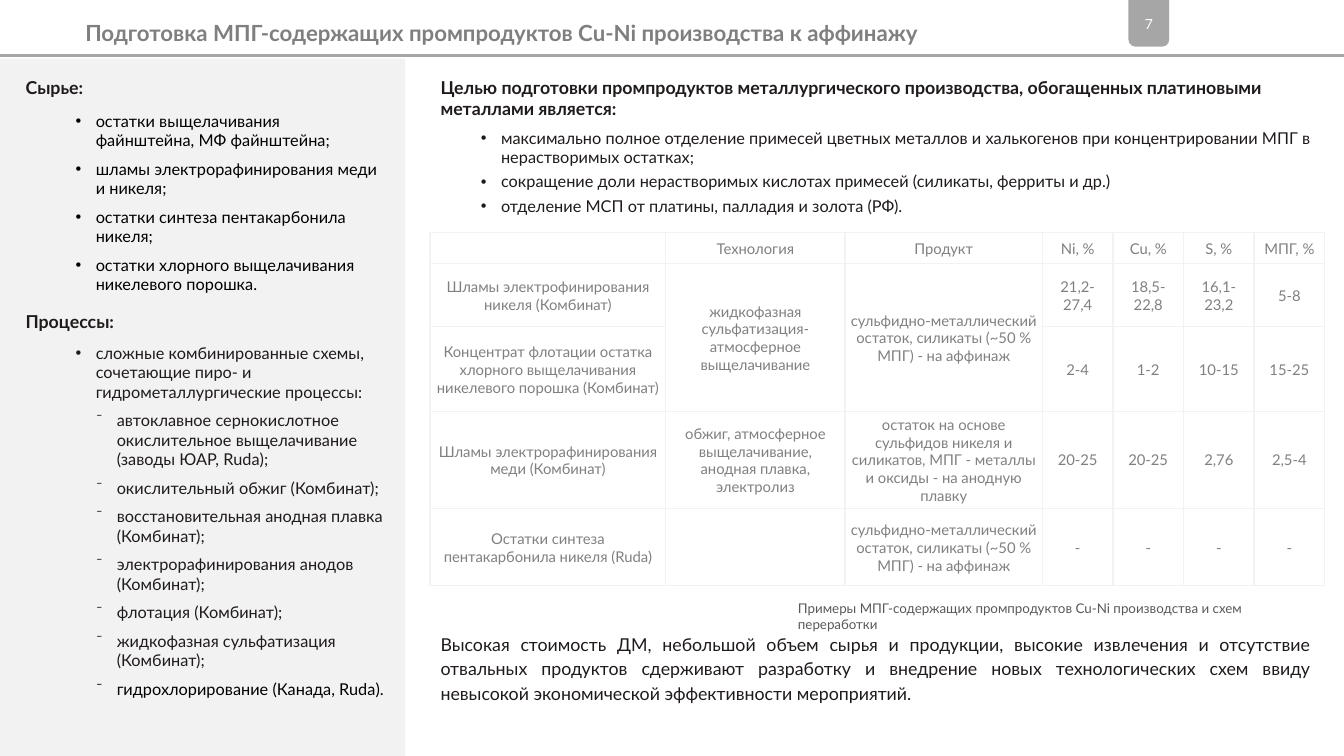
import pptx
import pptx.util
import pptx.dml.color
import pptx.enum.text
import pptx.enum.shapes
import lxml.etree

Cm = pptx.util.Cm
Pt = pptx.util.Pt
ALIGN = pptx.enum.text.PP_ALIGN
ANCHOR = pptx.enum.text.MSO_ANCHOR
SHAPE = pptx.enum.shapes.MSO_SHAPE
DARK, GREY, PALE = "1F1B1A", "A6A6A6", "F2F2F2"


def tint(code):
    return pptx.dml.color.RGBColor.from_string(code)


def node(parent, tag, **attrs):
    name = pptx.oxml.ns.qn(tag)
    return lxml.etree.SubElement(parent, name, attrs)


class Deck:
    font = "Lato"
    inset = 0.25, 0.13, 0.25, 0.13
    slim = 0.1, 0.1, 0.1, 0.1

    def __init__(self, page):
        self.page = page
        self.shapes = page.shapes

    def style(self, para, size, color, bold=False):
        for run in para.runs:
            run.font.name = self.font
            run.font.size = Pt(size)
            run.font.bold = bold
            run.font.color.rgb = tint(color)

    def pad(self, item, sides):
        (item.margin_left, item.margin_top,
         item.margin_right, item.margin_bottom) = [Cm(s) for s in sides]

    def line(self, start, end, color, width):
        rule = self.shapes.add_connector(
            pptx.enum.shapes.MSO_CONNECTOR.STRAIGHT, *map(Cm, start + end))
        rule.line.color.rgb = tint(color)
        rule.line.width = Pt(width)
        node(rule.element.spPr, "a:effectLst")

    def block(self, kind, spot, color):
        shape = self.shapes.add_shape(kind, *map(Cm, spot))
        shape.shadow.inherit = False
        shape.fill.solid()
        shape.fill.fore_color.rgb = tint(color)
        shape.line.fill.background()
        return shape

    def badge(self, spot, text):
        shape = self.block(SHAPE.ROUND_2_SAME_RECTANGLE, spot, GREY)
        shape.adjustments[0] = 0
        shape.adjustments[1] = 0.17
        frame = shape.text_frame
        self.pad(frame, (0, 0.08, 0, 0))
        frame.vertical_anchor = ANCHOR.MIDDLE
        frame.text = text
        frame.paragraphs[0].alignment = ALIGN.CENTER
        self.style(frame.paragraphs[0], 9.4, "FFFFFF")

    def hold(self, index, spot):
        box = self.page.placeholders[index]
        box.left, box.top, box.width, box.height = map(Cm, spot)
        self.shapes.element.append(box.element)
        return box

    def put(self, box, text, size, color=DARK, bold=False, sides=inset):
        frame = box.text_frame
        frame.word_wrap = True
        frame.auto_size = pptx.enum.text.MSO_AUTO_SIZE.NONE
        frame.vertical_anchor = ANCHOR.TOP
        self.pad(frame, sides)
        frame.text = text
        for para in frame.paragraphs:
            para.alignment = ALIGN.LEFT
            para.space_before = Pt(0)
            self.style(para, size, color, bold)
        return frame.paragraphs

    def label(self, spot, text, size, color=DARK, bold=False):
        box = self.shapes.add_textbox(*map(Cm, spot))
        return self.put(box, text, size, color, bold)

    def items(self, index, spot, rows, gap, color=DARK):
        paras = self.put(self.hold(index, spot), "\n".join(t for _, t in rows), 11, color)
        for para, (mark, _) in zip(paras, rows):
            props = para._p.get_or_add_pPr()
            props.set("marL", str(Cm(0.48 if mark == "•" else 0.98)))
            props.set("indent", str(Cm(-0.48)))
            node(props, "a:buChar", char=mark)
            para.space_after = Pt(gap)
        return paras

    def edge(self, cell):
        props = cell._tc.get_or_add_tcPr()
        for side in "LRTB":
            side = node(props, "a:ln" + side, w=str(Pt(1)))
            fill = node(side, "a:solidFill")
            node(fill, "a:srgbClr", val=PALE)

    def table(self, spot, cols, rows, data, spans):
        size = sum(cols), sum(rows)
        grid = self.shapes.add_table(len(rows), len(cols), *map(Cm, spot + size)).table
        grid.first_row = grid.horz_banding = False
        for col, width in zip(grid.columns, cols):
            col.width = Cm(width)
        for row, height, texts in zip(grid.rows, rows, data):
            row.height = Cm(height)
            for cell, text in zip(row.cells, texts):
                self.cell(cell, text)
        for first, last in spans:
            grid.cell(*first).merge(grid.cell(*last))

    def cell(self, cell, text):
        self.pad(cell, (0.1, 0.03, 0.1, 0))
        cell.vertical_anchor = ANCHOR.MIDDLE
        self.edge(cell)
        cell.fill.background()
        para = cell.text_frame.paragraphs[0]
        para.alignment = ALIGN.CENTER
        if text:
            para.text = text
            self.style(para, 10, "808080")
        else:
            node(para._p, "a:endParaRPr", sz="1000")


RAW = [("•", text) for text in (
    "остатки выщелачивания файнштейна, МФ файнштейна;",
    "шламы электрорафинирования меди и никеля;",
    "остатки синтеза пентакарбонила никеля;",
    "остатки хлорного выщелачивания никелевого порошка.")]
STEPS = [("•", "сложные комбинированные схемы, сочетающие пиро- и гидрометаллургические процессы:")]
STEPS += [("⁻", text) for text in (
    "автоклавное сернокислотное окислительное выщелачивание (заводы ЮАР, Ruda);",
    "окислительный обжиг (Комбинат);",
    "восстановительная анодная плавка (Комбинат);",
    "электрорафинирования анодов (Комбинат);",
    "флотация (Комбинат);",
    "жидкофазная сульфатизация (Комбинат);",
    "гидрохлорирование (Канада, Ruda).")]
GOALS = [("•", text) for text in (
    "максимально полное отделение примесей цветных металлов и халькогенов "
    "при концентрировании МПГ в нерастворимых остатках;",
    "сокращение доли нерастворимых кислотах примесей (силикаты, ферриты и др.)",
    "отделение МСП от платины, палладия и золота (РФ).")]
REST = "сульфидно-металлический остаток, силикаты (~50 % МПГ) - на аффинаж"
DATA = [
    ["", "Технология", "Продукт", "Ni, %", "Cu, %", "S, %", "МПГ, %"],
    ["Шламы электрофинирования никеля (Комбинат)",
     "жидкофазная сульфатизация-атмосферное выщелачивание", REST,
     "21,2-27,4", "18,5-22,8", "16,1-23,2", "5-8"],
    ["Концентрат флотации остатка хлорного выщелачивания никелевого порошка (Комбинат)",
     "", "", "2-4", "1-2", "10-15", "15-25"],
    ["Шламы электрорафинирования меди (Комбинат)",
     "обжиг, атмосферное выщелачивание, анодная плавка, электролиз",
     "остаток на основе сульфидов никеля и силикатов, МПГ - металлы и оксиды - на анодную плавку",
     "20-25", "20-25", "2,76", "2,5-4"],
    ["Остатки синтеза пентакарбонила никеля (Ruda)", "", REST, "-", "-", "-", "-"],
]


def main():
    show = pptx.Presentation()
    show.slide_width, show.slide_height = Cm(32), Cm(18)
    deck = Deck(show.slides.add_slide(show.slide_layouts[4]))

    deck.line((0, 1.32), (32, 1.32), GREY, 1.75)
    deck.badge((26.87, 0, 0.97, 1.11), "7")
    deck.block(SHAPE.RECTANGLE, (0, 1.4, 9.65, 16.6), PALE)
    deck.put(deck.hold(0, (1.93, 0.36, 22.45, 0.84)),
             "Подготовка МПГ-содержащих промпродуктов Cu-Ni производства к аффинажу",
             15, "7F7F7F", True, deck.slim)

    deck.label((0.36, 1.7, 9.3, 0.76), "Сырье:", 12, bold=True)
    deck.items(2, (1.55, 2.51, 7.82, 4.65), RAW, 6, "000000")
    deck.label((0.36, 7.26, 9.3, 0.76), "Процессы:", 12, bold=True)
    steps = deck.items(4, (1.55, 8.03, 8.1, 8.81), STEPS, 6)
    deck.style(steps[-1], 11, "000000")

    deck.put(deck.hold(1, (10.24, 1.7, 20.75, 1.27)),
             "Целью подготовки промпродуктов металлургического производства, "
             "обогащенных платиновыми металлами является:", 12, bold=True)
    deck.items(3, (11.2, 2.92, 20.3, 2.36), GOALS, 3)
    deck.table((10.24, 5.54), [5.61, 4.27, 4.7] + [1.68] * 4,
               [0.74, 1.5, 2.01, 2.31, 1.85], DATA,
               [((1, col), (2, col)) for col in (1, 2)])
    deck.label((18.75, 14.15, 12.93, 0.64),
               "Примеры МПГ-содержащих промпродуктов Cu-Ni производства и схем переработки",
               9, "595959")
    close = deck.label(
        (10.24, 14.88, 21.23, 2.03),
        "Высокая стоимость ДМ, небольшой объем сырья и продукции, высокие извлечения "
        "и отсутствие отвальных продуктов сдерживают разработку и внедрение новых "
        "технологических схем ввиду невысокой экономической эффективности мероприятий.", 12)
    close[0].alignment = ALIGN.JUSTIFY
    close[0].line_spacing = 1.15
    show.save("out.pptx")


if __name__ == "__main__":
    main()
